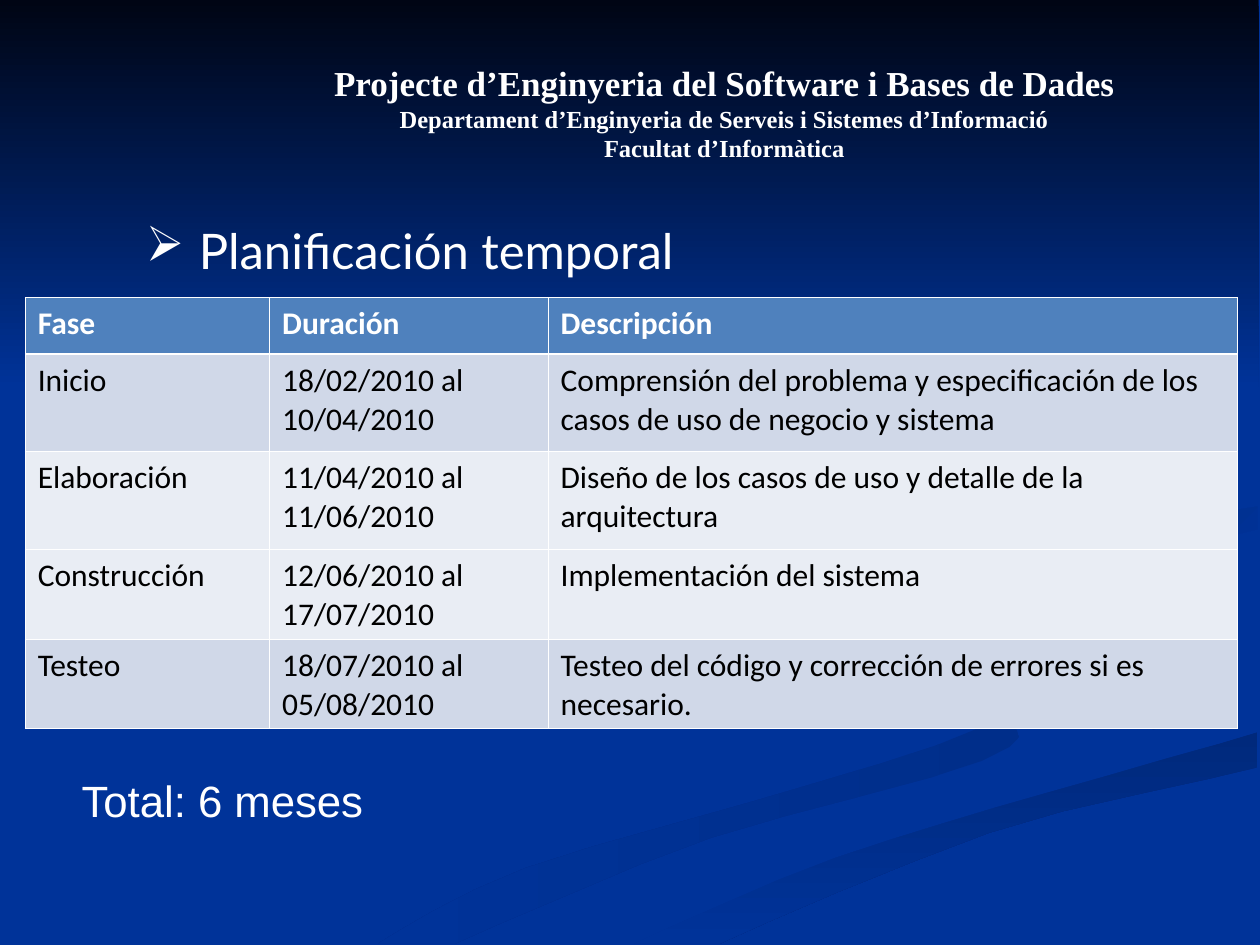
import lxml.etree
import pptx
import pptx.dml.color
import pptx.enum.shapes
import pptx.enum.text
import pptx.oxml
import pptx.oxml.ns
import pptx.util

WIDTH = pptx.util.Inches(10)
HEIGHT = pptx.util.Inches(7.5)
UNIT = WIDTH // 1000  # curve points are thousandths of the slide's width
CURVE_STEPS = 4

COLORS = {
    "background": "003399", "night": "000514",
    "ribbon": "002E8A", "lower_ribbon": "00297C",
    "right_ribbon": "002C85", "upper_ribbon": "002B81",
    "header": "4F81BD", "dark_band": "D0D8E8", "light_band": "E9EDF4",
    "white": "FFFFFF", "black": "000000",
}

# Curves shared by neighbouring ribbons
LOOP = [(725, 464), (830, 519), (942, 570)]
LOWER_CREST = [(503, 749), (662, 681), (831, 629), (998, 581)]
UPPER_CREST = [(781, 463), (865, 424), (998, 402)]

# Curves around each ribbon, start colour, end colour, clockwise angle
RIBBONS = [
    ([[(575, 459), (640, 508), (785, 566), (652, 620), (417, 689), (300, 749)],
      [(361, 749), (564, 665), (779, 604), (795, 567), (661, 513), (575, 459)]],
     "ribbon", "background", 180),
    ([LOOP, [(893, 604), (917, 580), (796, 524)]], "ribbon", "background", 225),
    ([LOWER_CREST, [(998, 609), (785, 661), (571, 749)]],
     "lower_ribbon", "background", 90),
    ([LOOP, [(942, 570), (743, 643), (477, 749)], LOWER_CREST,
      [(998, 538), (848, 503), (781, 463)], UPPER_CREST,
      [(998, 387), (788, 422), (725, 464)]],
     "background", "background", 0),
    ([UPPER_CREST, [(998, 420), (805, 472), (825, 496)]],
     "background", "right_ribbon", 225),
    ([[(762, 233), (889, 335), (763, 398), (577, 462), (622, 500)],
      [(593, 470), (683, 430), (893, 344), (762, 233)]],
     "background", "upper_ribbon", 225),
]

HEADING = [
    ("Projecte d’Enginyeria del Software i Bases de Dades", 20),
    ("Departament d’Enginyeria de Serveis i Sistemes d’Informació", 14),
    ("Facultat d’Informàtica", 14),
]

PHASES = [
    ("Fase", "Duración", "Descripción"),
    ("Inicio", "18/02/2010 al 10/04/2010",
     "Comprensión del problema y especificación de los casos de uso de negocio y sistema"),
    ("Elaboración", "11/04/2010 al 11/06/2010",
     "Diseño de los casos de uso y detalle de la arquitectura"),
    ("Construcción", "12/06/2010 al 17/07/2010", "Implementación del sistema"),
    ("Testeo", "18/07/2010 al 05/08/2010",
     "Testeo del código y corrección de errores si es necesario."),
]
ROW_FILLS = ["header", "dark_band", "light_band", "light_band", "dark_band"]
COLUMN_WIDTHS = [1.94, 2.21, 5.47]
ROW_HEIGHTS = [0.45, 0.77, 0.78, 0.71, 0.71]


def color(name):
    return pptx.dml.color.RGBColor.from_string(COLORS[name])


def place(left, top, width, height):
    """Turn percentages of the slide's size into lengths."""
    return [int(share * size / 100) for share, size in
            zip((left, top, width, height), (WIDTH, HEIGHT) * 2)]


def write(paragraph, text, font="Calibri", size=18, ink="white", bold=False,
          align=None, line_spacing=None, space_before=None):
    run = paragraph.add_run()
    run.text = text
    run.font.name = font
    run.font.size = pptx.util.Pt(size)
    run.font.bold = bold
    run.font.color.rgb = color(ink)
    paragraph.alignment = align
    paragraph.line_spacing = line_spacing
    if space_before:
        paragraph.space_before = pptx.util.Pt(space_before)


def add_text_frame(slide, *box):
    text_frame = slide.shapes.add_textbox(*place(*box)).text_frame
    text_frame.word_wrap = True
    return text_frame


def smooth_curve(points):
    """Sample a Catmull-Rom curve through the points."""
    padded = [points[0], *points, points[-1]]
    curve = []
    for a, b, c, d in zip(padded, padded[1:], padded[2:], padded[3:]):
        for step in range(CURVE_STEPS):
            t = step / CURVE_STEPS
            curve.append(tuple(
                q + t / 2 * (r - p + t * (2 * p - 5 * q + 4 * r - s
                                          + t * (3 * (q - r) + s - p)))
                for p, q, r, s in zip(a, b, c, d)))
    return curve + [points[-1]]


def paint(shape, start, end, angle):
    shape.shadow.inherit = False
    shape.line.fill.background()
    if start == end:
        shape.fill.solid()
        shape.fill.fore_color.rgb = color(start)
        return
    shape.fill.gradient()
    shape.fill.gradient_angle = 360 - angle  # python-pptx counts anticlockwise
    for position, (stop, name) in enumerate(zip(shape.fill.gradient_stops, (start, end))):
        stop.color.rgb = color(name)
        stop.position = position


def add_ribbon(slide, curves, *gradient):
    points = [point for curve in curves for point in smooth_curve(curve)]
    builder = slide.shapes.build_freeform(*points[0], scale=UNIT)
    builder.add_line_segments(points[1:], close=True)
    paint(builder.convert_to_shape(), *gradient)


def add_bullet(paragraph, character, ink, indent):
    properties = paragraph._p.get_or_add_pPr()
    properties.set("marL", str(indent))
    properties.set("indent", str(-indent))
    tag = pptx.oxml.ns.qn
    bullet_color = lxml.etree.SubElement(properties, tag("a:buClr"))
    lxml.etree.SubElement(bullet_color, tag("a:srgbClr"), val=COLORS[ink])
    lxml.etree.SubElement(properties, tag("a:buChar"), char=character)


def set_borders(cell, **widths):
    properties = cell._tc.get_or_add_tcPr()
    for index, (side, width) in enumerate(widths.items()):
        line = pptx.oxml.parse_xml(
            f'<a:{side} {pptx.oxml.ns.nsdecls("a")} w="{pptx.util.Pt(width)}">'
            f'<a:solidFill><a:srgbClr val="{COLORS["white"]}"/></a:solidFill></a:{side}>')
        properties.insert(index, line)


def add_phase_table(slide):
    box = place(2, 31.47, 96.2, 45.6)
    table = slide.shapes.add_table(len(PHASES), len(COLUMN_WIDTHS), *box).table
    for column, width in zip(table.columns, COLUMN_WIDTHS):
        column.width = pptx.util.Inches(width)
    for row, height in zip(table.rows, ROW_HEIGHTS):
        row.height = pptx.util.Inches(height)
    for row_index, (texts, fill) in enumerate(zip(PHASES, ROW_FILLS)):
        is_header = row_index == 0
        for column_index, text in enumerate(texts):
            cell = table.cell(row_index, column_index)
            cell.fill.solid()
            cell.fill.fore_color.rgb = color(fill)
            set_borders(cell, lnL=0.45, lnR=0.45,
                        lnT=1.47 if row_index == 1 else 0.45,
                        lnB=1.47 if is_header else 0.45)
            write(cell.text_frame.paragraphs[0], text, bold=is_header,
                  ink="white" if is_header else "black", line_spacing=1.02)


def main():
    presentation = pptx.Presentation()
    presentation.slide_width, presentation.slide_height = WIDTH, HEIGHT
    slide = presentation.slides.add_slide(presentation.slide_layouts[6])

    # Backdrop: ribbons, then the dark band at the top
    slide.background.fill.solid()
    slide.background.fill.fore_color.rgb = color("background")
    for ribbon in RIBBONS:
        add_ribbon(slide, *ribbon)
    band = slide.shapes.add_shape(pptx.enum.shapes.MSO_SHAPE.RECTANGLE,
                                  *place(0, 0, 99.9, 41))
    paint(band, "night", "background", 90)

    # Course heading
    heading = add_text_frame(slide, 24.8, 5.87, 65.4, 15.07)
    for index, (text, size) in enumerate(HEADING):
        paragraph = heading.add_paragraph() if index else heading.paragraphs[0]
        write(paragraph, text, font="Times New Roman", size=size, bold=True,
              align=pptx.enum.text.PP_ALIGN.CENTER)

    # Section title
    title = add_text_frame(slide, 10.6, 22.67, 79.5, 17.07).paragraphs[0]
    write(title, "Planificación temporal", font="Lato", size=28, space_before=17.5)
    add_bullet(title, "➢", "white", pptx.util.Inches(0.42))

    # Schedule and total
    add_phase_table(slide)
    total = add_text_frame(slide, 5.5, 81.2, 83.6, 6.93).paragraphs[0]
    write(total, "Total: 6 meses", font="Arial", size=25)

    presentation.save("out.pptx")


if __name__ == "__main__":
    main()
